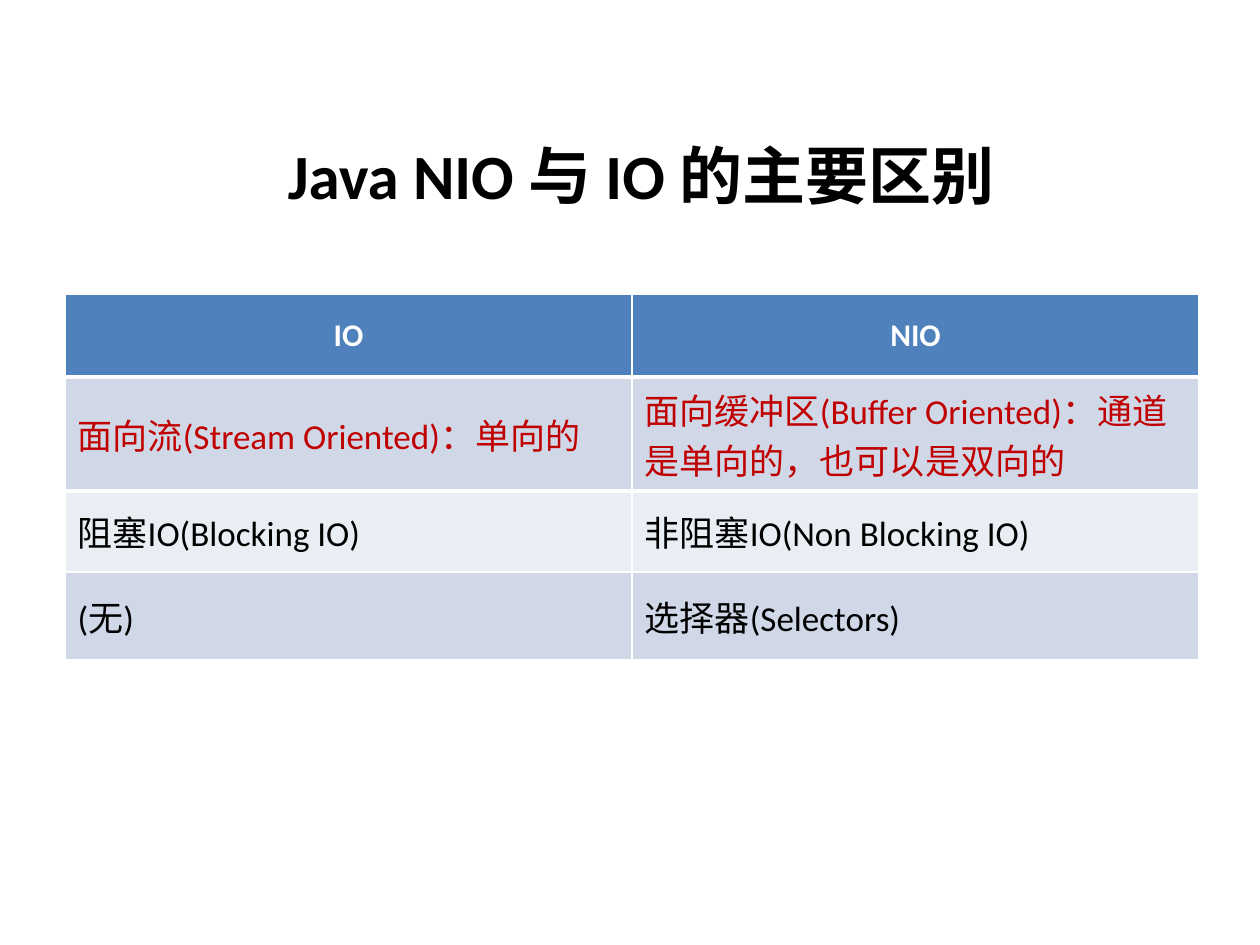
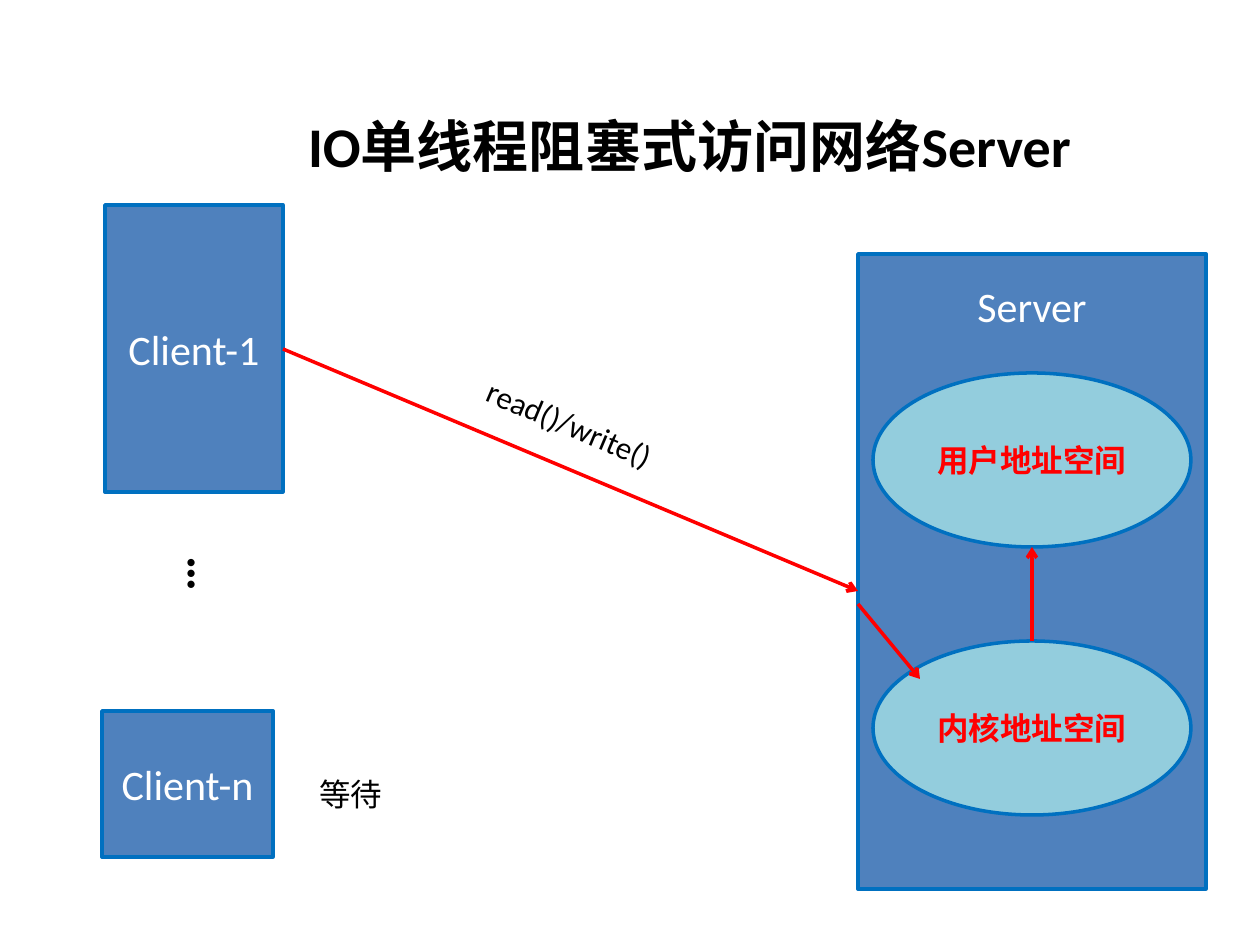
from lxml import etree
from pptx import Presentation
from pptx.dml.color import RGBColor
from pptx.enum.shapes import MSO_CONNECTOR, MSO_SHAPE
from pptx.enum.text import MSO_ANCHOR, MSO_AUTO_SIZE, PP_ALIGN
from pptx.oxml.ns import qn
from pptx.util import Pt

RECT, OVAL = MSO_SHAPE.RECTANGLE, MSO_SHAPE.OVAL
LINE = MSO_CONNECTOR.STRAIGHT
LEFT, MID = PP_ALIGN.LEFT, PP_ALIGN.CENTER
TOP, MIDDLE = MSO_ANCHOR.TOP, MSO_ANCHOR.MIDDLE
GROW = MSO_AUTO_SIZE.SHAPE_TO_FIT_TEXT
LATIN, HAN = "Calibri", "Noto Sans CJK SC"
BLUE, EDGE, AQUA = "4F81BD", "0070C0", "93CDDD"
BLACK, WHITE, RED, DARK = "000000", "FFFFFF", "FF0000", "C00000"
BANDS = ["D0D8E8", "E9EDF4"]
SCALE = 914400 / 126
rgb = RGBColor.from_string


def px(*nums):
    return [round(n * SCALE) for n in nums]


def write(frame, text, size, color, bold=False, align=MID, face=LATIN):
    para = frame.paragraphs[0]
    para.text = text
    para.alignment = align
    font = para.font
    font.size, font.bold, font.name = Pt(size), bold, face
    font.color.rgb = rgb(color)
    props = para._p.pPr.find(qn("a:defRPr"))
    etree.SubElement(props, qn("a:ea")).set("typeface", HAN)


deck = Presentation()
deck.slide_width, deck.slide_height = px(1260, 945)
blank = deck.slide_layouts[6]
first, second = [deck.slides.add_slide(blank) for _ in range(2)]

# Titles
titles = [
    (first, "Java NIO 与 IO 的主要区别", 36, (74, 115, 1134, 118), MIDDLE),
    (second, "IO单线程阻塞式访问网络Server", 32, (282, 105, 815, 81), TOP),
]
for slide, text, size, spot, anchor in titles:
    frame = slide.shapes.add_textbox(*px(*spot)).text_frame
    frame.word_wrap = True
    frame.vertical_anchor = anchor
    write(frame, text, size, BLACK, True)

# Comparison table
rows = [
    ("IO", "NIO"),
    ("面向流(Stream Oriented)：单向的",
     "面向缓冲区(Buffer Oriented)：通道是单向的，也可以是双向的"),
    ("阻塞IO(Blocking IO)", "非阻塞IO(Non Blocking IO)"),
    ("(无)", "选择器(Selectors)"),
]
highs = [83, 114, 81, 88]
table = first.shapes.add_table(4, 2, *px(65, 294, 1134, sum(highs))).table
for row, high in zip(table.rows, px(*highs)):
    row.height = high
for r, texts in enumerate(rows):
    for c, text in enumerate(texts):
        cell = table.cell(r, c)
        cell.vertical_anchor = MIDDLE
        cell.fill.solid()
        cell.fill.fore_color.rgb = rgb(BANDS[(r - 1) % 2] if r else BLUE)
        if r == 0:
            write(cell.text_frame, text, 18, WHITE, True)
        else:
            color = DARK if r == 1 else BLACK
            write(cell.text_frame, text, 20, color, align=LEFT)
        # Thick rule under the header
        if r < 2:
            rule = etree.Element(qn("a:lnT" if r else "a:lnB"), w=str(Pt(3)))
            paint = etree.SubElement(rule, qn("a:solidFill"))
            etree.SubElement(paint, qn("a:srgbClr")).set("val", WHITE)
            cell._tc.tcPr.insert(0, rule)

# Clients, server and address spaces
boxes = [
    (RECT, (105, 205, 178, 287), BLUE, "Client-1"),
    (RECT, (102, 711, 171, 146), BLUE, "Client-n"),
    (RECT, (858, 254, 348, 635), BLUE, ""),
    (OVAL, (873, 373, 318, 174), AQUA, "用户地址空间"),
    (OVAL, (873, 641, 318, 174), AQUA, "内核地址空间"),
]
for kind, spot, fill, text in boxes:
    box = second.shapes.add_shape(kind, *px(*spot))
    box.shadow.inherit = False
    box.fill.solid()
    box.fill.fore_color.rgb = rgb(fill)
    box.line.color.rgb = rgb(EDGE)
    box.line.width = Pt(2)
    box.text_frame.vertical_anchor = MIDDLE
    if kind == OVAL:
        write(box.text_frame, text, 18, RED, True, face=HAN)
    elif text:
        write(box.text_frame, text, 24, WHITE)

# Arrows along the data path
arrows = [
    (283, 349, 858, 591),
    (858, 604, 920, 679),
    (1032, 641, 1032, 547),
]
for ends in arrows:
    arrow = second.shapes.add_connector(LINE, *px(*ends))
    arrow.line.color.rgb = rgb(RED)
    arrow.line.width = Pt(2)
    stroke = arrow._element.spPr.find(qn("a:ln"))
    etree.SubElement(stroke, qn("a:tailEnd")).set("type", "arrow")
    etree.SubElement(arrow._element.spPr, qn("a:effectLst"))

# Labels: text, place, turn, size, colour, bold, alignment, font
labels = [
    ("Server", (928, 274, 208, 63), 0, 24, WHITE, False, MID, LATIN),
    ("read()/write()", (469, 402, 218, 50), 23, 18, BLACK, False, LEFT, LATIN),
    ("…", (159, 544, 84, 94), 0, 28, BLACK, True, MID, LATIN),
    ("等待", (307, 769, 100, 50), 0, 18, BLACK, False, LEFT, HAN),
]
for text, spot, turn, *style in labels:
    label = second.shapes.add_textbox(*px(*spot))
    label.rotation = turn
    frame = label.text_frame
    frame.word_wrap = True
    frame.auto_size = GROW
    write(frame, text, *style)
    if text == "…":
        frame._txBody.bodyPr.set("vert", "eaVert")

deck.save("out.pptx")
